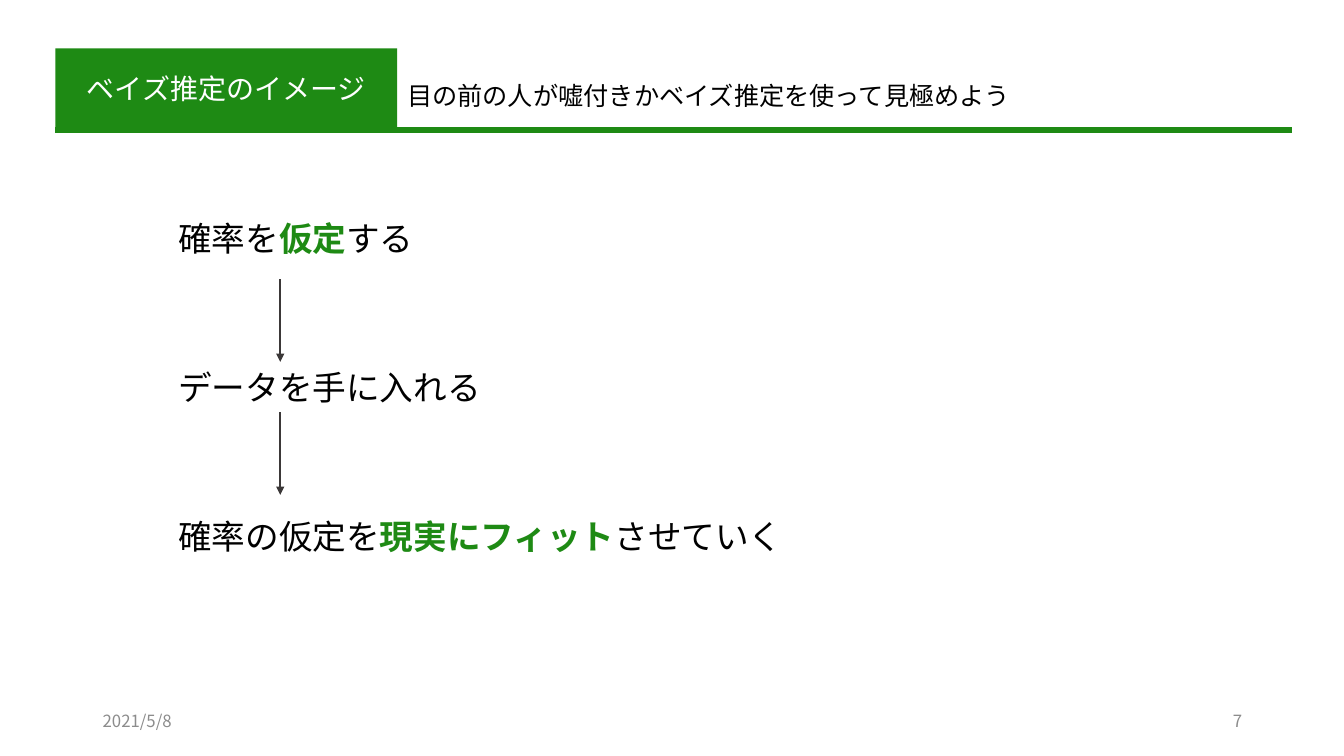
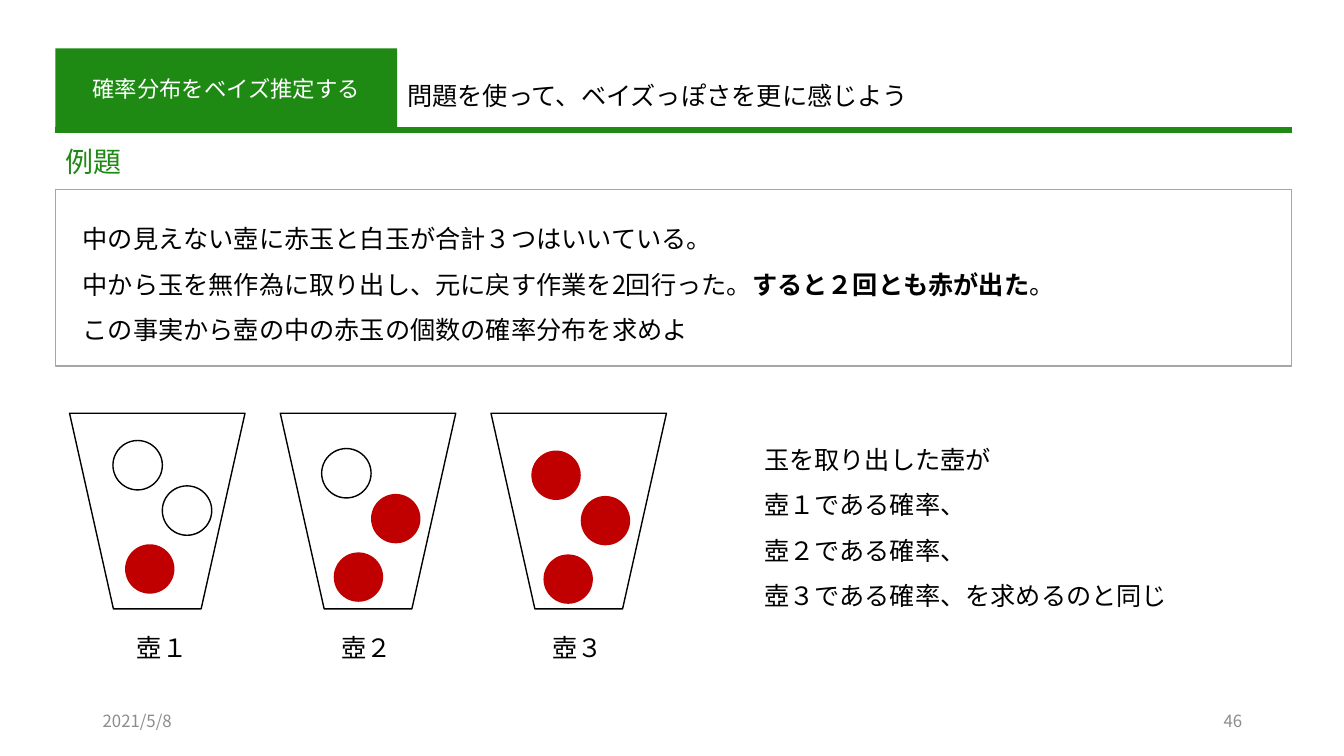
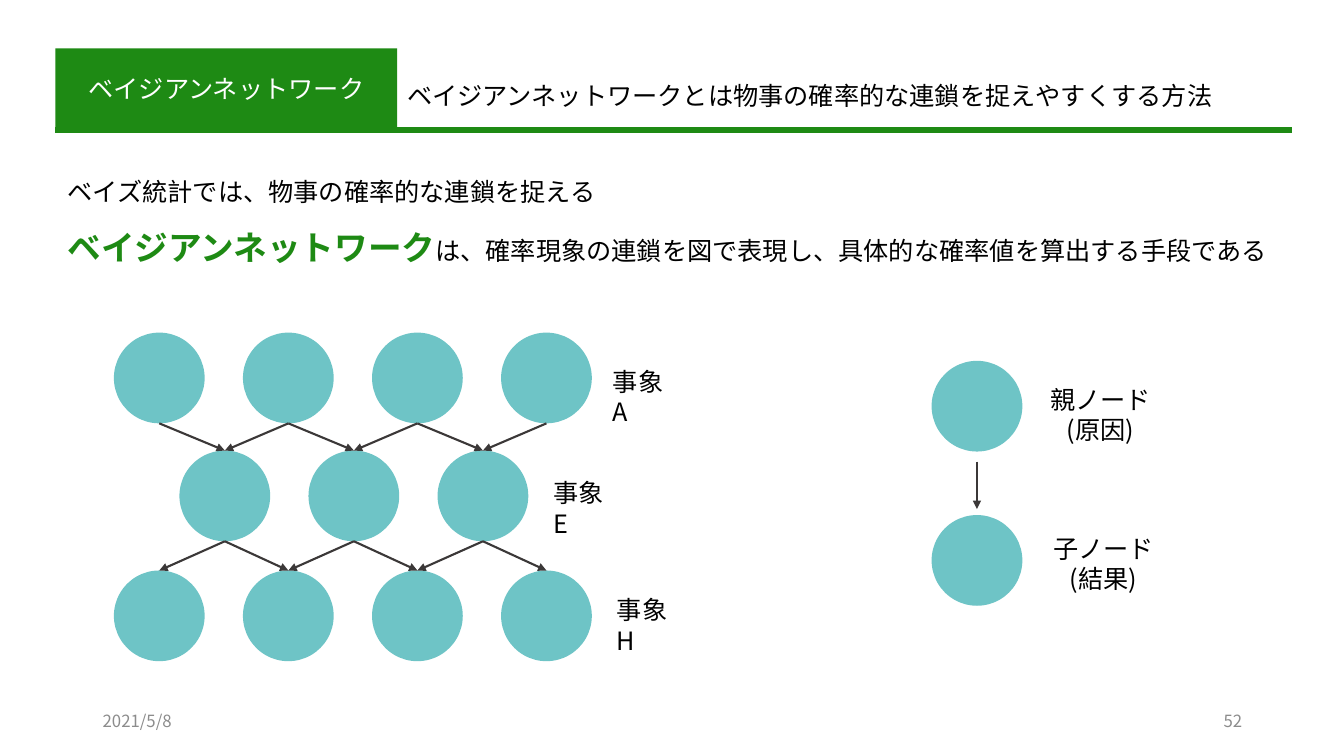
from pptx import Presentation
from pptx.dml.color import RGBColor
from pptx.enum.shapes import MSO_CONNECTOR, MSO_SHAPE
from pptx.enum.text import MSO_ANCHOR, MSO_AUTO_SIZE, PP_ALIGN
from pptx.oxml.ns import qn
from pptx.util import Pt
from lxml.etree import SubElement

PX = 9144
FONT = "Noto Sans CJK JP"
GREEN = RGBColor(0x1E, 0x8A, 0x14)
TEAL = RGBColor(0x00, 0x98, 0x9C)
RED = RGBColor(0xC0, 0x00, 0x00)
BLACK = RGBColor(0x00, 0x00, 0x00)
WHITE = RGBColor(0xFF, 0xFF, 0xFF)
CHARCOAL = RGBColor(0x3B, 0x38, 0x38)
FRAME_GRAY = RGBColor(0xA6, 0xA6, 0xA6)
FOOTER_GRAY = RGBColor(0x8C, 0x8C, 0x8C)


def emu(*lengths):
    return [length * PX for length in lengths]


def write(slide, box, paragraphs, shape=None, size=18, color=BLACK, align=PP_ALIGN.LEFT,
          anchor=MSO_ANCHOR.TOP, spacing=1.0, wrap=False):
    if shape is None:
        shape = slide.shapes.add_textbox(*emu(*box))
    shape.left, shape.top, shape.width, shape.height = emu(*box)
    frame = shape.text_frame
    frame.auto_size = MSO_AUTO_SIZE.NONE
    frame.word_wrap = wrap
    frame.vertical_anchor = anchor
    for index, runs in enumerate(paragraphs):
        paragraph = frame.add_paragraph() if index else frame.paragraphs[0]
        if shape.is_placeholder:
            properties = paragraph._p.get_or_add_pPr()
            properties.set("marL", "0")
            properties.set("indent", "0")
            SubElement(properties, qn("a:buNone"))
        paragraph.alignment = align
        paragraph.line_spacing = spacing
        paragraph.space_before = Pt(0)
        for item in [runs] if isinstance(runs, str) else runs:
            emphasized = isinstance(item, tuple)
            words, run_size, run_color = item if emphasized else (item, size, color)
            run = paragraph.add_run()
            run.text = words
            run.font.size = Pt(run_size)
            run.font.bold = emphasized
            run.font.color.rgb = run_color
            run.font.name = FONT
            SubElement(run._r.get_or_add_rPr(), qn("a:ea")).set("typeface", FONT)


presentation = Presentation()
presentation.slide_width, presentation.slide_height = emu(1333, 750)
content_layout, title_layout = presentation.slide_layouts[1], presentation.slide_layouts[5]

headers = [
    (title_layout, "ベイズ推定のイメージ", 20,
     "目の前の人が嘘付きかベイズ推定を使って見極めよう", 650, "7"),
    (content_layout, "確率分布をベイズ推定する", 16,
     "問題を使って、ベイズっぽさを更に感じよう", 525, "46"),
    (content_layout, "ベイジアンネットワーク", 18,
     "ベイジアンネットワークとは物事の確率的な連鎖を捉えやすくする方法", 853, "52"),
]
lines = []
for layout, title, title_size, message, message_width, number in headers:
    slide = presentation.slides.add_slide(layout)
    band = slide.shapes.title
    band.fill.solid()
    band.fill.fore_color.rgb = GREEN
    write(slide, (55, 48, 339, 80), [title], shape=band, size=title_size, color=WHITE,
          align=PP_ALIGN.CENTER, anchor=MSO_ANCHOR.MIDDLE, wrap=True)
    write(slide, (394, 75, message_width, 40), [message])
    for left, footer, align in ((92, "2021/5/8", PP_ALIGN.LEFT), (942, number, PP_ALIGN.RIGHT)):
        write(slide, (left, 695, 300, 40), [footer], size=12, color=FOOTER_GRAY,
              align=align, anchor=MSO_ANCHOR.MIDDLE, wrap=True)
    lines.append((slide, (55, 129, 1281, 129), GREEN, 4.5))

image_slide, urn_slide, network_slide = presentation.slides
shapes = []
arrows = []

steps = [
    (256, ["確率を", ("仮定", 24, GREEN), "する"]),
    (323, ["データを手に入れる"]),
    (626, ["確率の仮定を", ("現実にフィット", 24, GREEN), "させていく"]),
]
for index, (width, runs) in enumerate(steps):
    write(image_slide, (167, 211 + 148 * index, width, 50), [runs], size=24)
for top in (277, 409):
    arrows.append((image_slide, (278, top, 278, top + 82)))

write(urn_slide, (55, 138, 134, 44), ["例題"], size=20, color=GREEN)
shapes.append((urn_slide, MSO_SHAPE.RECTANGLE, (55, 188, 1226, 175), None, FRAME_GRAY))
write(urn_slide, (72, 202, 996, 141), [
    "中の見えない壺に赤玉と白玉が合計３つはいいている。",
    ["中から玉を無作為に取り出し、元に戻す作業を2回行った。",
     ("すると２回とも赤が出た", 18, BLACK), "。"],
    "この事実から壺の中の赤玉の個数の確率分布を求めよ",
], shape=urn_slide.placeholders[1], spacing=1.5)

urns = [("壺１", 126, 112, 437), ("壺２", 329, 319, 445), ("壺３", 538, 527, 447)]
for index, (label, label_left, ball_left, ball_top) in enumerate(urns):
    shapes.append((urn_slide, MSO_SHAPE.TRAPEZOID, (69 + 209 * index, 410, 174, 194), None, BLACK))
    for ball, (across, down) in enumerate([(0, 0), (49, 45), (12, 103)]):
        fill, outline = (RED, None) if ball >= 2 - index else (None, BLACK)
        shapes.append((urn_slide, MSO_SHAPE.OVAL,
                       (ball_left + across, ball_top + down, 49, 49), fill, outline))
    write(urn_slide, (label_left, 622, 71, 40), [label])
write(urn_slide, (748, 421, 424, 186), [
    "玉を取り出した壺が",
    "壺１である確率、",
    "壺２である確率、",
    "壺３である確率、を求めるのと同じ",
], spacing=1.5)

write(network_slide, (57, 155, 1226, 109), [
    "ベイズ統計では、物事の確率的な連鎖を捉える",
    [("ベイジアンネットワーク", 24, GREEN),
     "は、確率現象の連鎖を図で表現し、具体的な確率値を算出する手段である"],
], shape=network_slide.placeholders[1], spacing=1.5, wrap=True)

NODE, PITCH = 90, 128
RADIUS = NODE // 2
node_rows = [(113, 330, 4), (178, 447, 3), (113, 566, 4)]
nodes = [(left + PITCH * index, top) for left, top, count in node_rows for index in range(count)]
nodes += [(924, 358), (924, 511)]
for left, top in nodes:
    shapes.append((network_slide, MSO_SHAPE.OVAL, (left, top, NODE, NODE), TEAL, None))
top_row, middle_row, bottom_row = nodes[:4], nodes[4:7], nodes[7:11]
for index, middle in enumerate(middle_row):
    for side in (index, index + 1):
        for parent, child in ((top_row[side], middle), (middle, bottom_row[side])):
            arrows.append((network_slide, (parent[0] + RADIUS, parent[1] + NODE,
                                           child[0] + RADIUS, child[1])))
arrows.append((network_slide, (969, 458, 969, 505)))

for left, top, label in ((598, 358, "事象A"), (539, 469, "事象E"), (602, 585, "事象H")):
    write(network_slide, (left, top, 80, 71), [label], wrap=True)
for left, top, label in ((1031, 376, ["親ノード", "(原因)"]), (1034, 524, ["子ノード", "(結果)"])):
    write(network_slide, (left, top, 121, 71), label, align=PP_ALIGN.CENTER)

for slide, kind, box, fill, outline in shapes:
    shape = slide.shapes.add_shape(kind, *emu(*box))
    shape.shadow.inherit = False
    if kind == MSO_SHAPE.TRAPEZOID:
        shape.rotation = 180
    if fill is None:
        shape.fill.background()
    else:
        shape.fill.solid()
        shape.fill.fore_color.rgb = fill
    if fill == TEAL:
        color_element = shape._element.spPr.find(qn("a:solidFill"))[0]
        SubElement(color_element, qn("a:alpha")).set("val", "57000")
    if outline is None:
        shape.line.fill.background()
    else:
        shape.line.color.rgb = outline
        shape.line.width = Pt(1)

lines += [(slide, ends, CHARCOAL, 1.5) for slide, ends in arrows]
for slide, ends, color, width in lines:
    connector = slide.shapes.add_connector(MSO_CONNECTOR.STRAIGHT, *emu(*ends))
    connector.line.color.rgb = color
    connector.line.width = Pt(width)
    if color == CHARCOAL:
        SubElement(connector.line._get_or_add_ln(), qn("a:tailEnd")).set("type", "triangle")
    SubElement(connector._element.spPr, qn("a:effectLst"))

presentation.save("out.pptx")
